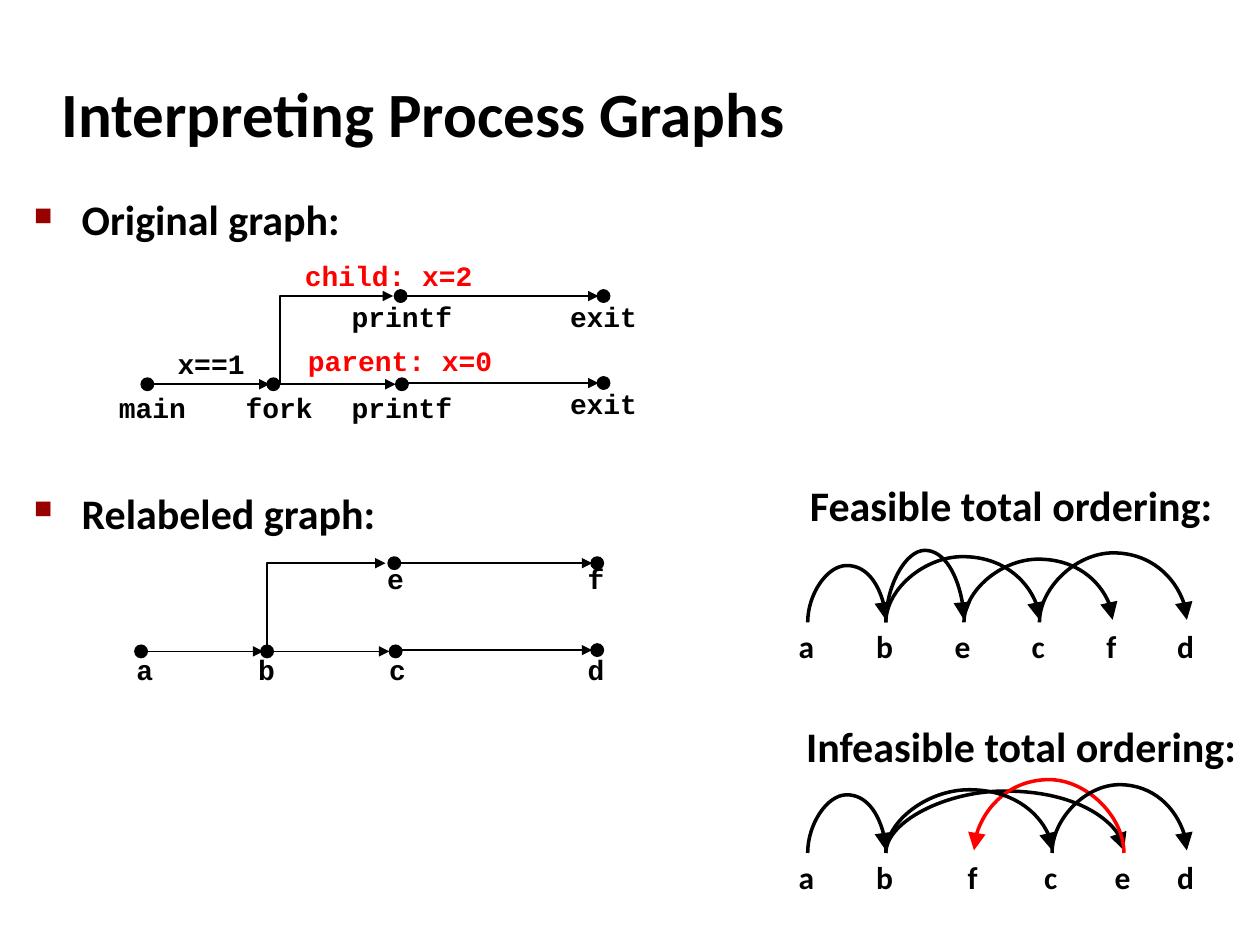
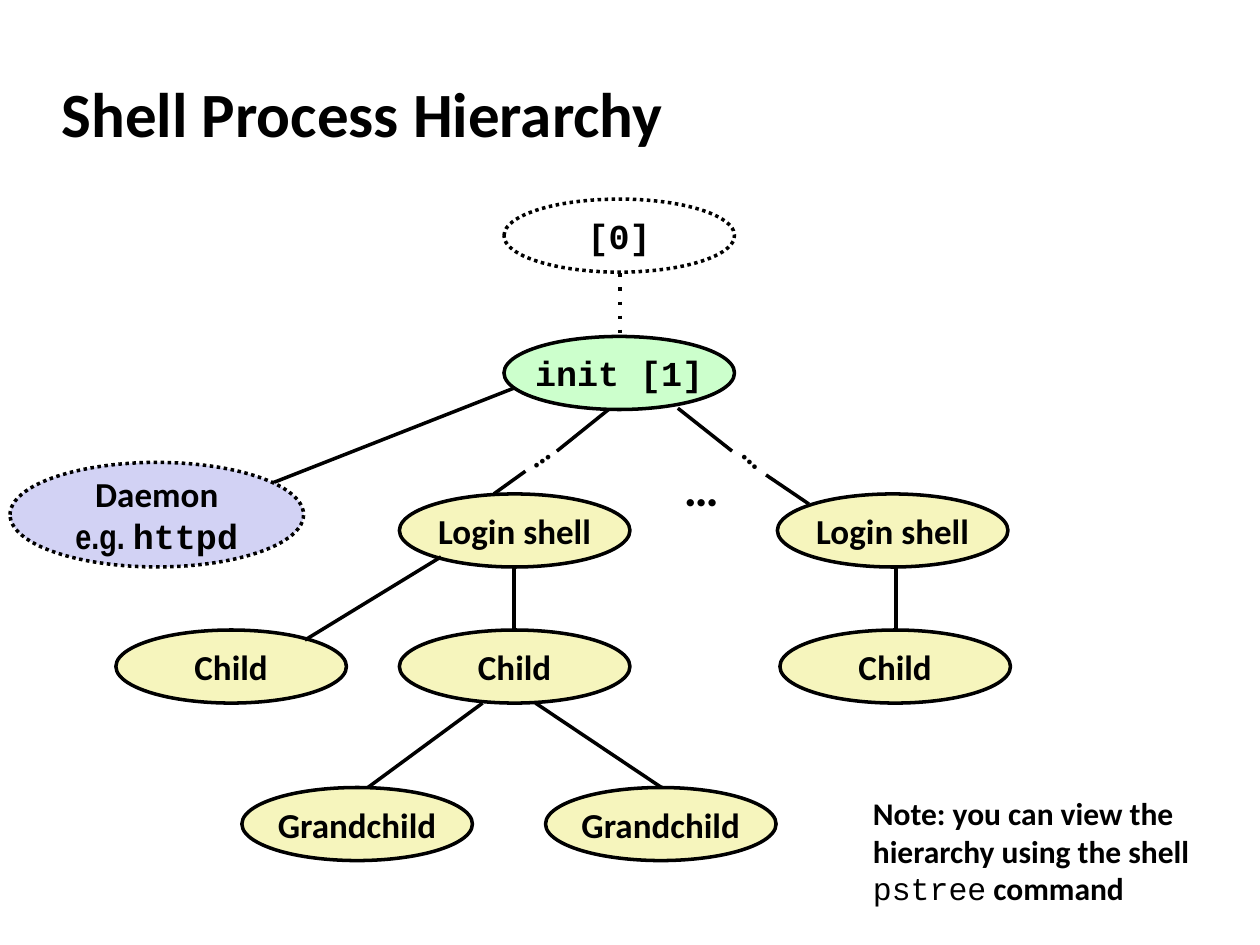
"""Build two slides on process graphs and the process hierarchy."""
from lxml.etree import SubElement
from pptx import Presentation
from pptx.dml.color import RGBColor
from pptx.enum.dml import MSO_LINE
from pptx.enum.shapes import MSO_CONNECTOR, MSO_SHAPE
from pptx.enum.text import MSO_ANCHOR, PP_ALIGN
from pptx.oxml.ns import qn
from pptx.util import Cm, Pt

BLACK = RGBColor(0, 0, 0)
WHITE = RGBColor(255, 255, 255)
RED = RGBColor(255, 0, 0)
MAROON = RGBColor(0x99, 0, 0)
CREAM = RGBColor(0xF6, 0xF5, 0xBD)
GREEN = RGBColor(0xCC, 0xFF, 0xCC)
LILAC = RGBColor(0xD2, 0xD2, 0xF4)
SANS, NARROW, MONO = "Calibri", "Arial Narrow", "Courier New"
INCH = 2.54

HEADS = ["Original graph:", "Relabeled graph:"]
DOTS = [(1.12, 3), (2.12, 3), (3.14, 3), (3.13, 2.3), (4.74, 2.3), (4.74, 2.99)]
EDGES = [((1.22, 3.05), (2.14, 3.05)), ((2.22, 3.05), (3.14, 3.05)),
         ((3.21, 2.35), (4.75, 2.35)), ((3.21, 3.04), (4.75, 3.04))]
GRAPHS = [
    {"shift": (0, 0), "bend": ((2.22, 3.05), (3.12, 2.35)),
     "labels": [("main", 0.84, 3.05, 0.74), ("fork", 1.81, 3.05, 0.81),
                ("printf", 2.67, 3.05, 1.04), ("printf", 2.67, 2.33, 1.04),
                ("exit", 4.27, 2.33, 1.04), ("exit", 4.27, 3.02, 1.04),
                ("x==1", 1.24, 2.7, 0.87)],
     "notes": [("child: x=2", 2.08, 2, 2.01), ("parent: x=0", 2.17, 2.68, 2.01)]},
    {"shift": (-0.05, 2.12), "bend": ((2.12, 5.13), (3.06, 4.47)),
     "labels": [("a", 0.98, 5.13, 0.34), ("b", 1.75, 5.13, 0.73),
                ("c", 2.79, 5.13, 0.73), ("e", 2.62, 4.41, 1.04),
                ("f", 4.21, 4.41, 1.04), ("d", 4.21, 5.13, 1.04)],
     "notes": []},
]
ORDERS = [
    {"head": ("Feasible total ordering:", 6.33, 3.76, 3.44), "base": 4.94,
     "posts": {"a": 6.41, "b": 7.03, "e": 7.65, "c": 8.25, "f": 8.83, "d": 9.42},
     "arcs": [("ab", 0.45), ("be", 0.57), ("ef", 0.5), ("bc", 0.52), ("cd", 0.55)]},
    {"head": ("Infeasible total ordering:", 6.3, 5.67, 3.67), "base": 6.77,
     "posts": {"a": 6.41, "b": 7.03, "f": 7.73, "c": 8.35, "e": 8.92, "d": 9.42},
     "arcs": [("ab", 0.46), ("be", 0.49), ("ef", 0.58), ("bc", 0.5), ("cd", 0.54)]},
]
NODES = [
    ("Login shell", 3.17, 3.92), ("Login shell", 6.17, 3.92),
    ("Child", 0.92, 5), ("Child", 3.17, 5), ("Child", 6.19, 5),
    ("Grandchild", 1.92, 6.25), ("Grandchild", 4.33, 6.25),
]
LINKS = [
    ((4.08, 3.08), (2.17, 3.83)), ((4.83, 3.25), (4.42, 3.58)),
    ((4.17, 3.74), (3.92, 3.92)), ((5.38, 3.24), (5.81, 3.58)),
    ((6.08, 3.77), (6.42, 4)), ((3.5, 4.42), (2.42, 5.08)),
    ((4.08, 4.5), (4.08, 5)), ((7.11, 4.5), (7.11, 5)),
    ((3.83, 5.58), (2.92, 6.25)), ((4.25, 5.58), (5.25, 6.25)),
]
GAPS = [(5.33, 3.58, 0.48, 0.57, 28, 0), (5.7, 3.53, 0.38, 0.4, 18, 223),
        (4.16, 3.53, 0.38, 0.4, 18, 145)]
TIP = [("Note: you can view the hierarchy using the shell ", SANS),
       ("pstree", MONO), (" command", SANS)]


def size(*inches):
    return [Cm(n * INCH) for n in inches]


def style(run, pts, font=SANS, color=BLACK, bold=True):
    run.font.size, run.font.name, run.font.bold = Pt(pts), font, bold
    run.font.color.rgb = color


def fill(para, runs, pts, color=BLACK, plain=None):
    for text, font in runs:
        run = para.add_run()
        run.text = text
        style(run, pts, font, color, font != plain)


def label(slide, box, runs, pts, color=BLACK, align=PP_ALIGN.LEFT, wrap=False, plain=None):
    shape = slide.shapes.add_textbox(*size(*box))
    shape.text_frame.word_wrap = wrap
    para = shape.text_frame.paragraphs[0]
    para.alignment = align
    fill(para, runs, pts, color, plain)
    return shape


def indent(para, inches):
    props = para._p.get_or_add_pPr()
    props.set("marL", str(Cm(inches * INCH)))
    props.set("indent", str(-Cm(inches * INCH)))
    return props


def start(deck, title):
    slide = deck.slides.add_slide(deck.slide_layouts[6])
    shape = label(slide, (0.39, 0.48, 8.3, 0.83), [(title, SANS)], 36, wrap=True)
    shape.text_frame.vertical_anchor = MSO_ANCHOR.MIDDLE
    indent(shape.text_frame.paragraphs[0], 0.13)
    return slide


def oval(slide, box, color, pts, dash=None):
    shape = slide.shapes.add_shape(MSO_SHAPE.OVAL, *size(*box))
    shape.shadow.inherit = False
    shape.fill.solid()
    shape.fill.fore_color.rgb = color
    shape.line.color.rgb = BLACK
    shape.line.width = Pt(pts)
    if dash:
        shape.line.dash_style = dash
    return shape


def link(slide, tail, head, pts, color=BLACK, arrow="med", kind=MSO_CONNECTOR.STRAIGHT):
    line = slide.shapes.add_connector(kind, *size(*tail, *head))
    line.line.color.rgb = color
    line.line.width = Pt(pts)
    if arrow:
        SubElement(line.line._get_or_add_ln(), qn("a:tailEnd"),
                   type="triangle", w=arrow, len=arrow)
    SubElement(line._element.spPr, qn("a:effectLst"))
    return line


def turn(line, tail, head, preset, lift=None):
    (x1, y1), (x2, y2) = tail, head
    wide, rise = abs(x2 - x1), y1 - y2
    line.left, line.top, line.width, line.height = size(
        (x1 + x2 - rise) / 2, (y1 + y2 - wide) / 2, rise, wide)
    frame = line._element.spPr.find(qn("a:xfrm"))
    right = x2 > x1
    frame.set("rot", str((90 if right else 270) * 60000))
    frame.set("flipH", "1" if right else "0")
    frame.set("flipV", "1")
    geom = line._element.spPr.find(qn("a:prstGeom"))
    geom.set("prst", preset)
    if lift:
        guides = geom.find(qn("a:avLst"))
        if guides is None:
            guides = SubElement(geom, qn("a:avLst"))
        SubElement(guides, qn("a:gd"), name="adj1",
                   fmla=f"val {round(lift / rise * 100000)}")


def bullets(slide):
    shape = slide.shapes.add_textbox(*size(0.17, 1.49, 5.14, 4.26))
    frame = shape.text_frame
    frame.word_wrap = True
    frame.text = "\n".join(HEADS)
    for para, gap in zip(frame.paragraphs, (5, 139)):
        para.space_before = Pt(gap)
        style(para.runs[0], 24)
        props = indent(para, 0.38)
        tint = SubElement(props, qn("a:buClr"))
        SubElement(tint, qn("a:srgbClr"), val=str(MAROON))
        SubElement(props, qn("a:buSzPct"), val="60000")
        SubElement(props, qn("a:buChar"), char="■")


def graph(slide, data):
    dx, dy = data["shift"]
    for x, y in DOTS:
        oval(slide, (x + dx, y + dy, 0.1, 0.1), BLACK, 0.75)
    for (x1, y1), (x2, y2) in EDGES:
        link(slide, (x1 + dx, y1 + dy), (x2 + dx, y2 + dy), 1)
    bend = link(slide, *data["bend"], 1, kind=MSO_CONNECTOR.ELBOW)
    turn(bend, *data["bend"], "bentConnector2")
    for key, color in (("labels", BLACK), ("notes", RED)):
        for text, x, y, wide in data[key]:
            label(slide, (x, y, wide, 0.37), [(text, MONO)], 16, color, PP_ALIGN.CENTER)


def order(slide, data):
    text, *spot = data["head"]
    label(slide, (*spot, 0.5), [(text, SANS)], 24)
    posts, base = data["posts"], data["base"]
    for name, x in posts.items():
        label(slide, (x - 0.18, base - 0.01, 0.34, 0.4), [(name, SANS)], 18,
              align=PP_ALIGN.CENTER)
    for (one, two), lift in data["arcs"]:
        tail, head = (posts[one], base), (posts[two], base - 0.02)
        color = BLACK if head[0] > tail[0] else RED
        arc = link(slide, tail, head, 2, color, "lg", MSO_CONNECTOR.CURVE)
        turn(arc, tail, head, "curvedConnector3", lift)


def node(slide, box, rows, color=CREAM, dash=None):
    frame = oval(slide, box, color, 2, dash).text_frame
    frame.word_wrap = False
    frame.vertical_anchor = MSO_ANCHOR.MIDDLE
    for i, runs in enumerate(rows):
        para = frame.add_paragraph() if i else frame.paragraphs[0]
        para.alignment = PP_ALIGN.CENTER
        fill(para, runs, 20)


def tree(slide):
    dots = MSO_LINE.ROUND_DOT
    for text, x, y in NODES:
        node(slide, (x, y, 1.83, 0.58), [[(text, SANS)]])
    node(slide, (4, 1.58, 1.83, 0.58), [[("[0]", MONO)]], WHITE, dots)
    root = link(slide, (4.92, 2.17), (4.92, 2.67), 2, arrow=None)
    root.line.dash_style = MSO_LINE.SQUARE_DOT
    root.line._get_or_add_ln().find(qn("a:prstDash")).set("val", "dot")
    for tail, head in LINKS:
        link(slide, tail, head, 2, arrow=None)
    node(slide, (0.08, 3.67, 2.33, 0.83),
         [[("Daemon", SANS)], [("e.g. ", NARROW), ("httpd", MONO)]], LILAC, dots)
    node(slide, (4, 2.67, 1.83, 0.58), [[("init [1]", MONO)]], GREEN)
    for *box, pts, angle in GAPS:
        label(slide, box, [("…", SANS)], pts).rotation = angle
    label(slide, (6.83, 6.25, 3.06, 1.01), TIP, 18, wrap=True, plain=MONO)


def main():
    deck = Presentation()
    deck.slide_width, deck.slide_height = size(10, 7.5)
    slide = start(deck, "Interpreting Process Graphs")
    bullets(slide)
    for data in GRAPHS:
        graph(slide, data)
    for data in ORDERS:
        order(slide, data)
    tree(start(deck, "Shell Process Hierarchy"))
    deck.save("out.pptx")


if __name__ == "__main__":
    main()
